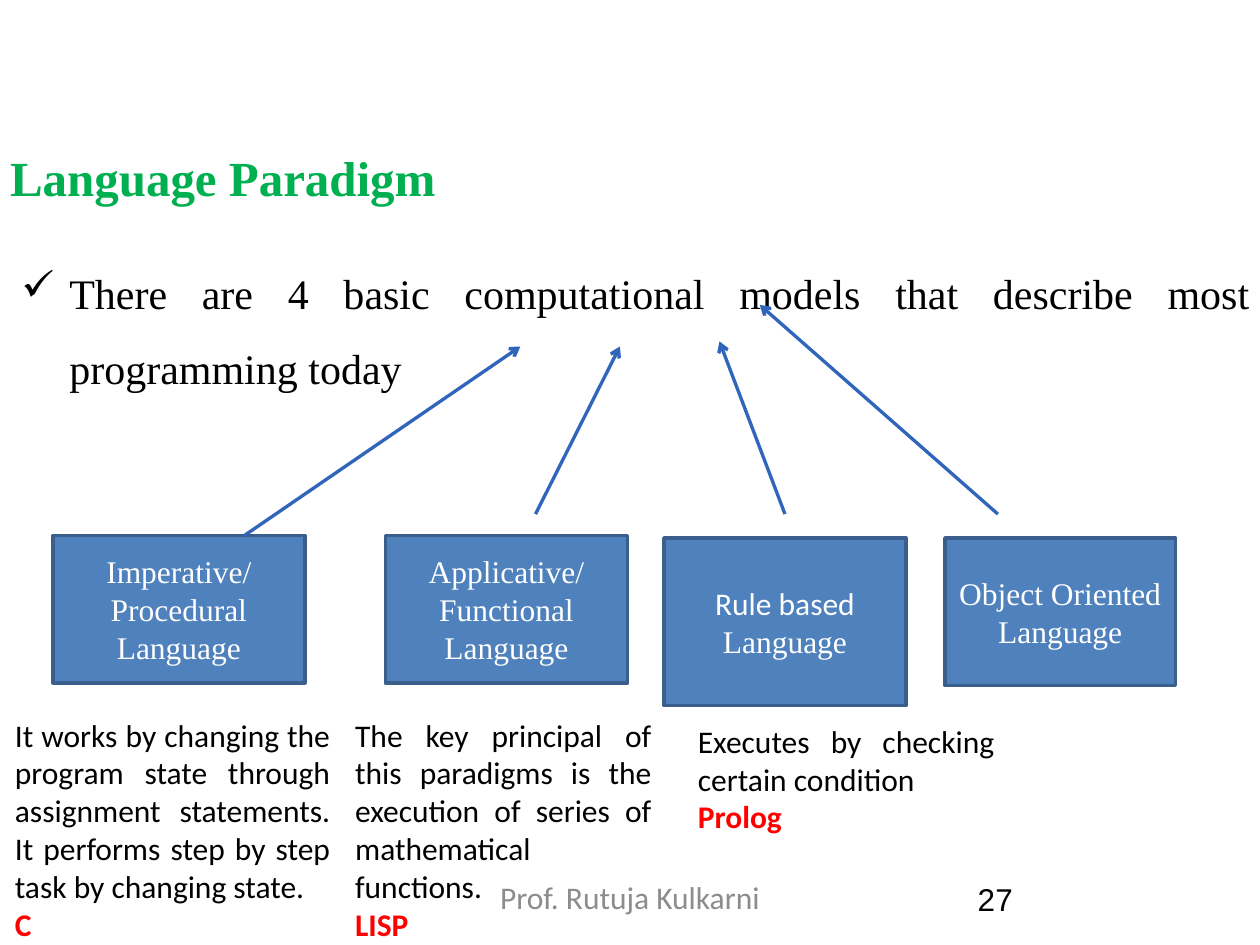
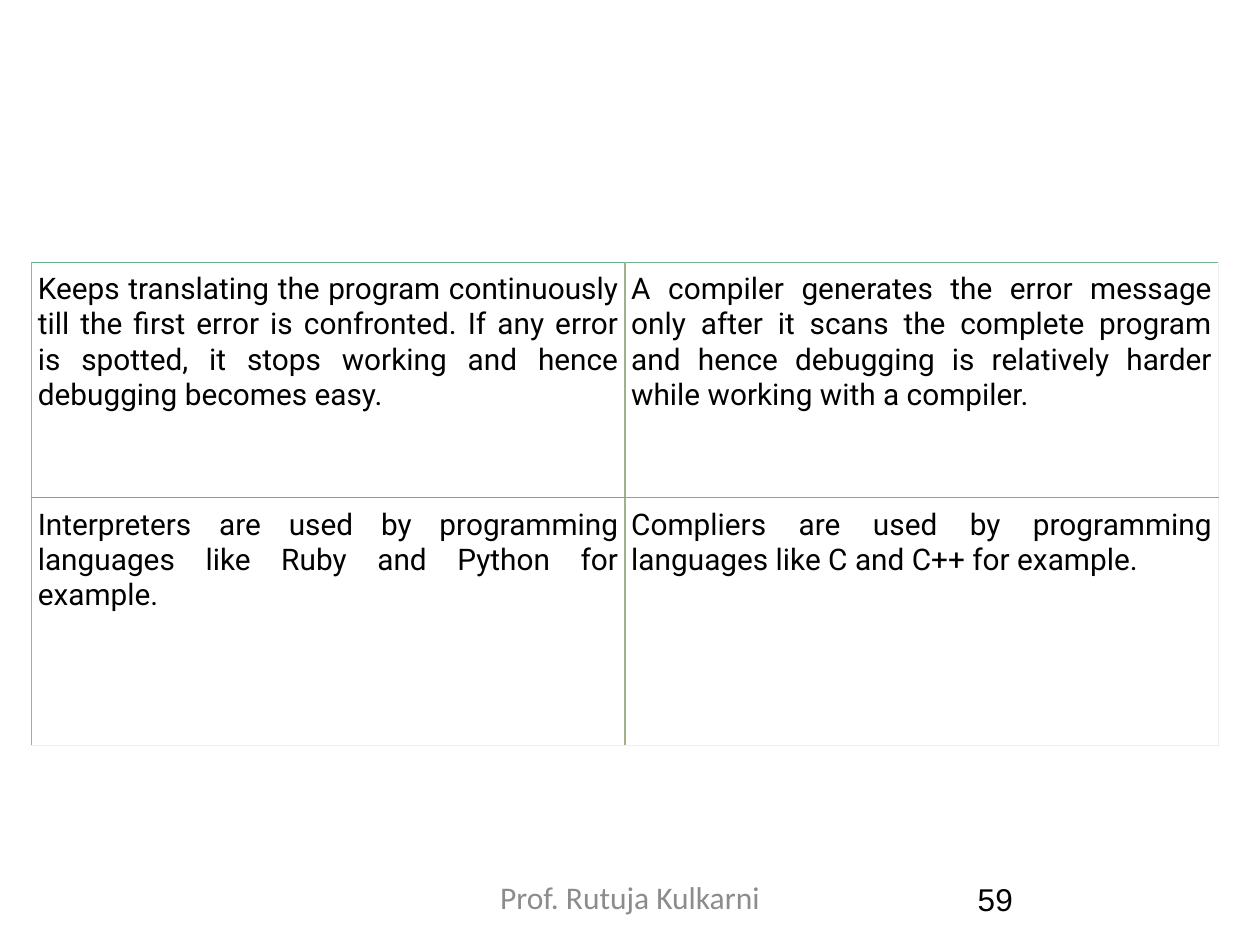
from dataclasses import dataclass

from lxml.etree import SubElement
from pptx import Presentation
from pptx.dml.color import RGBColor
from pptx.enum.shapes import MSO_CONNECTOR, MSO_SHAPE
from pptx.enum.text import MSO_ANCHOR, PP_ALIGN
from pptx.oxml import parse_xml
from pptx.oxml.ns import nsdecls, qn
from pptx.slide import Slide
from pptx.text.text import TextFrame, _Paragraph, _Run
from pptx.util import Inches, Pt

COLORS = {
    "title": "00B050",
    "text": "000000",
    "example": "FF0000",
    "footer": "8C8C8C",
    "box": "4F81BD",
    "box_line": "3A5F8C",
    "box_text": "FFFFFF",
    "arrow": "3165BB",
    "cell": "FFFFFF",
    "side_border": "A0B18B",
    "left_column_border": "60B18B",
    "right_column_border": "70B48B",
    "outer_border": "EEEEEE",
}
SERIF, SANS, NUMBER_FONT, TABLE_FONT = "Times New Roman", "Calibri", "Arial", "Roboto"


@dataclass(frozen=True)
class Box:
    left: float
    top: float
    width: float
    height: float

    def inches(self) -> tuple:
        return tuple(Inches(v) for v in (self.left, self.top, self.width, self.height))


@dataclass(frozen=True)
class Model:
    box: Box
    label: tuple[tuple[str, str], ...]  # text and font of each run


@dataclass(frozen=True)
class Arrow:
    start: tuple[float, float]
    end: tuple[float, float]


@dataclass(frozen=True)
class Description:
    box: Box
    text: str
    example: str


MODELS = [
    Model(Box(0.42, 4.25, 2, 1.17), (("Imperative/ Procedural Language", SERIF),)),
    Model(Box(3.06, 4.25, 1.92, 1.17), (("Applicative/ Functional Language", SERIF),)),
    Model(Box(5.27, 4.27, 1.92, 1.33), (("Rule based ", SANS), ("Language", SERIF))),
    Model(Box(7.5, 4.27, 1.83, 1.17), (("Object Oriented Language", SERIF),)),
]
ARROWS = [
    Arrow((1.94, 4.25), (4.13, 2.75)),
    Arrow((4.25, 4.08), (4.92, 2.75)),
    Arrow((6.23, 4.08), (5.71, 2.71)),
    Arrow((7.92, 4.08), (6.03, 2.42)),
]
DESCRIPTIONS = [
    Description(
        Box(0.02, 5.63, 2.7, 1.92),
        "It works by changing the program state through assignment statements. "
        "It performs step by step task by changing state.",
        "C",
    ),
    Description(
        Box(2.72, 5.63, 2.55, 1.92),
        "The key principal of this paradigms is the execution of series of "
        "mathematical functions.",
        "LISP",
    ),
    Description(
        Box(5.44, 5.68, 2.55, 1.01), "Executes by checking certain condition", "Prolog"
    ),
]
COMPARISON = [
    (
        "Keeps translating the program continuously till the first error is confronted. "
        "If any error is spotted, it stops working and hence debugging becomes easy.",
        "A compiler generates the error message only after it scans the complete program "
        "and hence debugging is relatively harder while working with a compiler.",
    ),
    (
        "Interpreters are used by programming languages like Ruby and Python for example.",
        "Compliers are used by programming languages like C and C++ for example.",
    ),
]
ROW_HEIGHTS = (1.87, 1.97)


def rgb(name: str) -> RGBColor:
    return RGBColor.from_string(COLORS[name])


def style(r: _Run, font: str, size: float, color: str, bold: bool = False) -> None:
    r.font.name, r.font.size, r.font.bold = font, Pt(size), bold
    r.font.color.rgb = rgb(color)


def write(p: _Paragraph, text: str, font: str, size: float, color: str,
          align: PP_ALIGN = PP_ALIGN.LEFT, bold: bool = False) -> None:
    p.text = text
    p.alignment = align
    style(p.runs[0], font, size, color, bold)


def clear_margins(tf: TextFrame) -> None:
    tf.margin_left = tf.margin_top = tf.margin_right = tf.margin_bottom = 0


def add_text_frame(s: Slide, box: Box, margins: bool = False) -> TextFrame:
    tf = s.shapes.add_textbox(*box.inches()).text_frame
    tf.word_wrap = True
    if not margins:
        clear_margins(tf)
    return tf


def add_title(s: Slide, text: str) -> None:
    sp = s.shapes.title
    sp.left, sp.top, sp.width, sp.height = Box(0.08, 1.17, 9.75, 0.47).inches()
    tf = sp.text_frame
    clear_margins(tf)
    tf.vertical_anchor = MSO_ANCHOR.TOP
    write(tf.paragraphs[0], text, SERIF, 28, "title", bold=True)


def add_statement(s: Slide, text: str) -> None:
    p = add_text_frame(s, Box(0.17, 1.92, 9.75, 1.82)).paragraphs[0]
    write(p, text, SERIF, 24, "text", PP_ALIGN.JUSTIFY)
    p.line_spacing = 1.5
    pPr = p._p.get_or_add_pPr()
    pPr.set("marL", str(Inches(0.38)))
    pPr.set("indent", str(-Inches(0.38)))
    SubElement(pPr, qn("a:buChar"), char="✓")


def add_model(s: Slide, model: Model) -> None:
    sp = s.shapes.add_shape(MSO_SHAPE.RECTANGLE, *model.box.inches())
    sp.shadow.inherit = False
    sp.fill.solid()
    sp.fill.fore_color.rgb = rgb("box")
    sp.line.color.rgb = rgb("box_line")
    sp.line.width = Pt(2)
    tf = sp.text_frame
    tf.vertical_anchor = MSO_ANCHOR.MIDDLE
    p = tf.paragraphs[0]
    p.alignment = PP_ALIGN.CENTER
    for text, font in model.label:
        r = p.add_run()
        r.text = text
        style(r, font, 18, "box_text")


def add_arrow(s: Slide, arrow: Arrow) -> None:
    points = (Inches(v) for v in arrow.start + arrow.end)
    line = s.shapes.add_connector(MSO_CONNECTOR.STRAIGHT, *points)
    line.line.color.rgb = rgb("arrow")
    line.line.width = Pt(1.89)
    SubElement(line.line._get_or_add_ln(), qn("a:tailEnd"), type="arrow")
    SubElement(line._element.spPr, qn("a:effectLst"))


def add_description(s: Slide, description: Description) -> None:
    tf = add_text_frame(s, description.box, margins=True)
    write(tf.paragraphs[0], description.text, SANS, 18, "text", PP_ALIGN.JUSTIFY)
    write(tf.add_paragraph(), description.example, SANS, 18, "example",
          PP_ALIGN.JUSTIFY, bold=True)


def add_footer(s: Slide, number: int) -> None:
    tf = add_text_frame(s, Box(3.4, 6.97, 3.2, 0.38))
    write(tf.paragraphs[0], "Prof. Rutuja Kulkarni", SANS, 18, "footer", PP_ALIGN.CENTER)
    p = add_text_frame(s, Box(7.72, 6.99, 0.36, 0.31)).paragraphs[0]
    write(p, str(number), NUMBER_FONT, 18, "text")
    p.line_spacing = Pt(20.9)
    p._p.get_or_add_pPr().set("marL", str(Inches(0.04)))


def set_borders(cell, left: str, right: str, top: str, bottom: str) -> None:
    """Put the four border lines ahead of the cell's fill, as the schema asks."""
    tcPr = cell._tc.get_or_add_tcPr()
    for i, (side, color) in enumerate(zip("LRTB", (left, right, top, bottom))):
        tcPr.insert(i, parse_xml(
            f'<a:ln{side} {nsdecls("a")} w="{Pt(0.75)}"><a:solidFill>'
            f'<a:srgbClr val="{COLORS[color]}"/></a:solidFill></a:ln{side}>'
        ))


def add_comparison(s: Slide) -> None:
    frame = s.shapes.add_table(2, 2, *Box(0.25, 2.08, 9.42, sum(ROW_HEIGHTS)).inches())
    table = frame.table
    table.first_row = table.horz_banding = False
    for row, height in zip(table.rows, ROW_HEIGHTS):
        row.height = Inches(height)
    for i, texts in enumerate(COMPARISON):
        for j, text in enumerate(texts):
            cell = table.cell(i, j)
            cell.margin_left = cell.margin_right = Inches(0.05)
            cell.margin_top = cell.margin_bottom = Inches(0.08)
            cell.fill.solid()
            cell.fill.fore_color.rgb = rgb("cell")
            write(cell.text_frame.paragraphs[0], text, TABLE_FONT, 17, "text",
                  PP_ALIGN.JUSTIFY)
            column_border = ("left_column_border", "right_column_border")[j]
            set_borders(
                cell,
                left="side_border",
                right="outer_border" if j == 1 else "side_border",
                top=column_border,
                bottom="outer_border" if i == 1 else column_border,
            )


def build_paradigm_slide(prs: Presentation) -> None:
    s = prs.slides.add_slide(prs.slide_layouts[5])
    add_title(s, "Language Paradigm")
    add_statement(
        s, "There are 4 basic computational models that describe most programming today"
    )
    for model in MODELS:
        add_model(s, model)
    for arrow in ARROWS:
        add_arrow(s, arrow)
    add_footer(s, 27)
    for description in DESCRIPTIONS:
        add_description(s, description)


def build_comparison_slide(prs: Presentation) -> None:
    s = prs.slides.add_slide(prs.slide_layouts[6])
    add_comparison(s)
    add_footer(s, 59)


def main() -> None:
    prs = Presentation()
    prs.slide_width, prs.slide_height = Inches(10), Inches(7.5)
    build_paradigm_slide(prs)
    build_comparison_slide(prs)
    prs.save("out.pptx")


if __name__ == "__main__":
    main()
